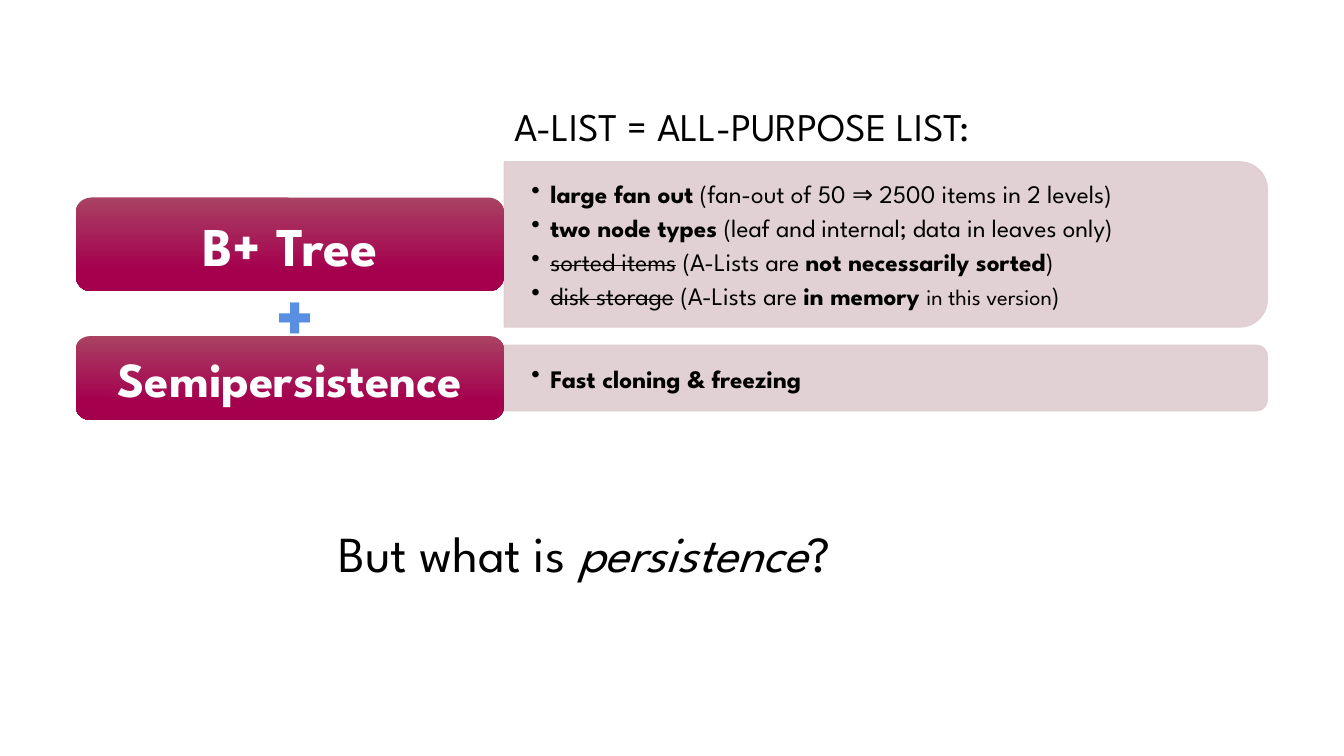
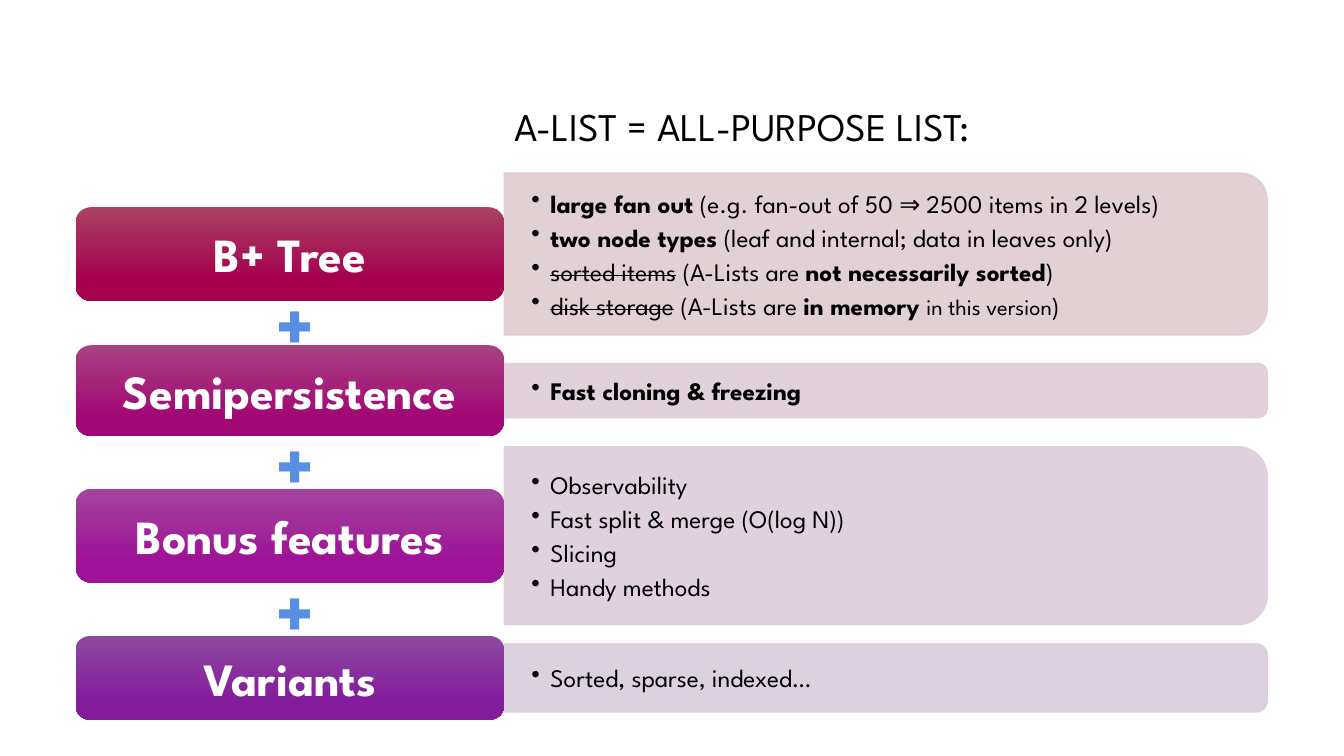
from lxml import etree
from pptx import Presentation
from pptx import util as u
from pptx.dml.color import RGBColor
from pptx.enum import shapes, text
from pptx.oxml.ns import qn

# Grid: one cell is a quarter inch, so the slide is 53.33 by 30 cells
CELL = u.Inches(0.25)
LABEL_LEFT, LABEL_WIDTH = 3, 17
PANEL_LEFT, PANEL_WIDTH = 20, 30.28
PLUS_CENTRE, PLUS_WIDTH, PLUS_HEIGHT = 11.72, 2.64, 4.04

# Shared look
FONT = "League Spartan"
BLACK = RGBColor(0x00, 0x00, 0x00)
WHITE = RGBColor(0xFF, 0xFF, 0xFF)
PLUS_BLUE = RGBColor(0x58, 0x8F, 0xE2)

# Each palette: panel, top of the label, bottom of the label
CRIMSON = (RGBColor(0xDF, 0xCC, 0xD0), RGBColor(0xA9, 0x42, 0x63), RGBColor(0xA4, 0x00, 0x4E))
MAGENTA = (RGBColor(0xDE, 0xCC, 0xD6), RGBColor(0xA7, 0x42, 0x81), RGBColor(0xA2, 0x08, 0x75))
ORCHID = (RGBColor(0xDD, 0xCD, 0xDC), RGBColor(0xA4, 0x44, 0x9D), RGBColor(0x9E, 0x12, 0x97))
PURPLE = (RGBColor(0xD8, 0xCD, 0xDC), RGBColor(0x8D, 0x48, 0xA0), RGBColor(0x83, 0x1C, 0x9A))


def cells(*counts):
    """Turn grid counts into lengths."""
    return [u.Emu(round(count * CELL)) for count in counts]


def add_runs(para, runs, size, color=BLACK):
    """Add (text, style, optional size) runs; style letters: b, i, s (struck)."""
    for words, style, *own_size in runs:
        span = para.add_run()
        span.text = words
        span.font.name = FONT
        span.font.size = u.Pt(own_size[0] if own_size else size)
        span.font.color.rgb = color
        span.font.bold = "b" in style
        span.font.italic = "i" in style
        if "s" in style:
            span.font._element.set("strike", "sngStrike")


def add_text(page, place, runs, size, color=BLACK, align=text.PP_ALIGN.LEFT):
    box = page.shapes.add_textbox(*cells(*place))
    box.text_frame.word_wrap = True
    para = box.text_frame.paragraphs[0]
    para.alignment = align
    add_runs(para, runs, size, color)


def set_title(page, words):
    title = page.shapes.title
    title.left, title.top, title.width, title.height = cells(20, 2.28, 25.08, 5.64)
    frame = title.text_frame
    frame.auto_size = text.MSO_AUTO_SIZE.NONE
    frame.vertical_anchor = text.MSO_ANCHOR.MIDDLE
    para = frame.paragraphs[0]
    para.alignment = text.PP_ALIGN.LEFT
    para.line_spacing = 0.9
    add_runs(para, [(words, "")], 28)


def add_bullet(para):
    props = para._p.get_or_add_pPr()
    props.set("marL", str(u.Inches(0.19)))
    props.set("indent", str(-u.Inches(0.19)))
    etree.SubElement(props, qn("a:buChar")).set("char", "•")


def add_panel(page, centre, height, color, bullets):
    # A quarter turn puts the two round corners on the right
    middle = PANEL_LEFT + PANEL_WIDTH / 2
    panel = page.shapes.add_shape(
        shapes.MSO_SHAPE.ROUND_2_SAME_RECTANGLE,
        *cells(middle - height / 2, centre - PANEL_WIDTH / 2, height, PANEL_WIDTH))
    panel.rotation = 90
    panel.shadow.inherit = False
    panel.line.width = u.Pt(0.75)
    for fill in (panel.fill, panel.line.fill):
        fill.solid()
        fill.fore_color.rgb = color
    for tint in panel._element.spPr.iter(qn("a:srgbClr")):
        etree.SubElement(tint, qn("a:alpha")).set("val", "90000")

    # Upright bullets over the turned shape
    box = page.shapes.add_textbox(
        *cells(PANEL_LEFT, centre - height / 2, PANEL_WIDTH, height))
    frame = box.text_frame
    frame.word_wrap = True
    frame.vertical_anchor = text.MSO_ANCHOR.MIDDLE
    frame.margin_left = frame.margin_right = u.Inches(0.27)
    frame.margin_top = frame.margin_bottom = u.Inches(0.14)
    for index, runs in enumerate(bullets):
        para = frame.add_paragraph() if index else frame.paragraphs[0]
        para.space_after = u.Pt(2.7)
        add_bullet(para)
        add_runs(para, runs, 18)


def add_label(page, centre, height, colors, words, size):
    label = page.shapes.add_shape(
        shapes.MSO_SHAPE.ROUNDED_RECTANGLE,
        *cells(LABEL_LEFT, centre - height / 2, LABEL_WIDTH, height))
    label.shadow.inherit = False
    label.line.fill.background()
    label.fill.gradient()
    label.fill.gradient_angle = 270
    for stop, color, position in zip(label.fill.gradient_stops, colors, (0, 0.78)):
        stop.color.rgb = color
        stop.position = position
    frame = label.text_frame
    frame.vertical_anchor = text.MSO_ANCHOR.MIDDLE
    para = frame.paragraphs[0]
    para.alignment = text.PP_ALIGN.CENTER
    add_runs(para, [(words, "b")], size, WHITE)


def add_plus(page, centre):
    place = (PLUS_CENTRE - PLUS_WIDTH / 2, centre - PLUS_HEIGHT / 2, PLUS_WIDTH, PLUS_HEIGHT)
    add_text(page, place, [("+", "b")], 54, PLUS_BLUE, text.PP_ALIGN.CENTER)


def add_feature_page(deck, features):
    """Stack the features, with a plus midway between neighbouring labels."""
    page = deck.slides.add_slide(deck.slide_layouts[5])
    set_title(page, "A-LIST = ALL-PURPOSE LIST:")
    previous_bottom = None
    for centre, panel_height, label_height, palette, words, size, bullets in features:
        add_panel(page, centre, panel_height, palette[0], bullets)
        add_label(page, centre, label_height, palette[1:], words, size)
        if previous_bottom is not None:
            add_plus(page, (previous_bottom + centre - label_height / 2) / 2)
        previous_bottom = centre + label_height / 2
    return page


def tree_bullets(fan_out):
    return [
        [("large fan out", "b"), (f" ({fan_out} of 50 ⇒ 2500 items in 2 levels)", "")],
        [("two node types", "b"), (" (leaf and internal; data in leaves only)", "")],
        [("sorted items", "s"), (" (A-Lists are ", ""),
         ("not necessarily sorted", "b"), (")", "")],
        [("disk storage", "s"), (" (A-Lists are ", ""), ("in memory ", "b"),
         ("in this version", "", 16), (")", "")],
    ]


def main():
    deck = Presentation()
    deck.slide_width, deck.slide_height = u.Inches(13.33), u.Inches(7.5)

    cloning = [[("Fast cloning & freezing", "b")]]
    bonuses = [[(words, "")] for words in (
        "Observability", "Fast split & merge (O(log N))", "Slicing", "Handy methods")]
    variants = [[("Sorted, sparse, indexed…", "")]]

    # Rows: centre, panel height, label height, palette, label, size, bullets
    page = add_feature_page(deck, [
        (9.7, 6.56, 3.72, CRIMSON, "B+ Tree", 39, tree_bullets("fan-out")),
        (15, 2.6, 3.32, CRIMSON, "Semipersistence", 35, cloning),
    ])
    add_text(page, (13.04, 20.52, 27.04, 2.84),
             [("But what is ", ""), ("persistence", "i"), ("?", "")], 36)

    add_feature_page(deck, [
        (10.08, 6.44, 3.72, CRIMSON, "B+ Tree", 34, tree_bullets("e.g. fan-out")),
        (15.5, 2.16, 3.6, MAGENTA, "Semipersistence", 34, cloning),
        (21.26, 7.08, 3.72, ORCHID, "Bonus features", 34, bonuses),
        (26.9, 2.72, 3.32, PURPLE, "Variants", 33, variants),
    ])
    deck.save("out.pptx")


if __name__ == "__main__":
    main()
